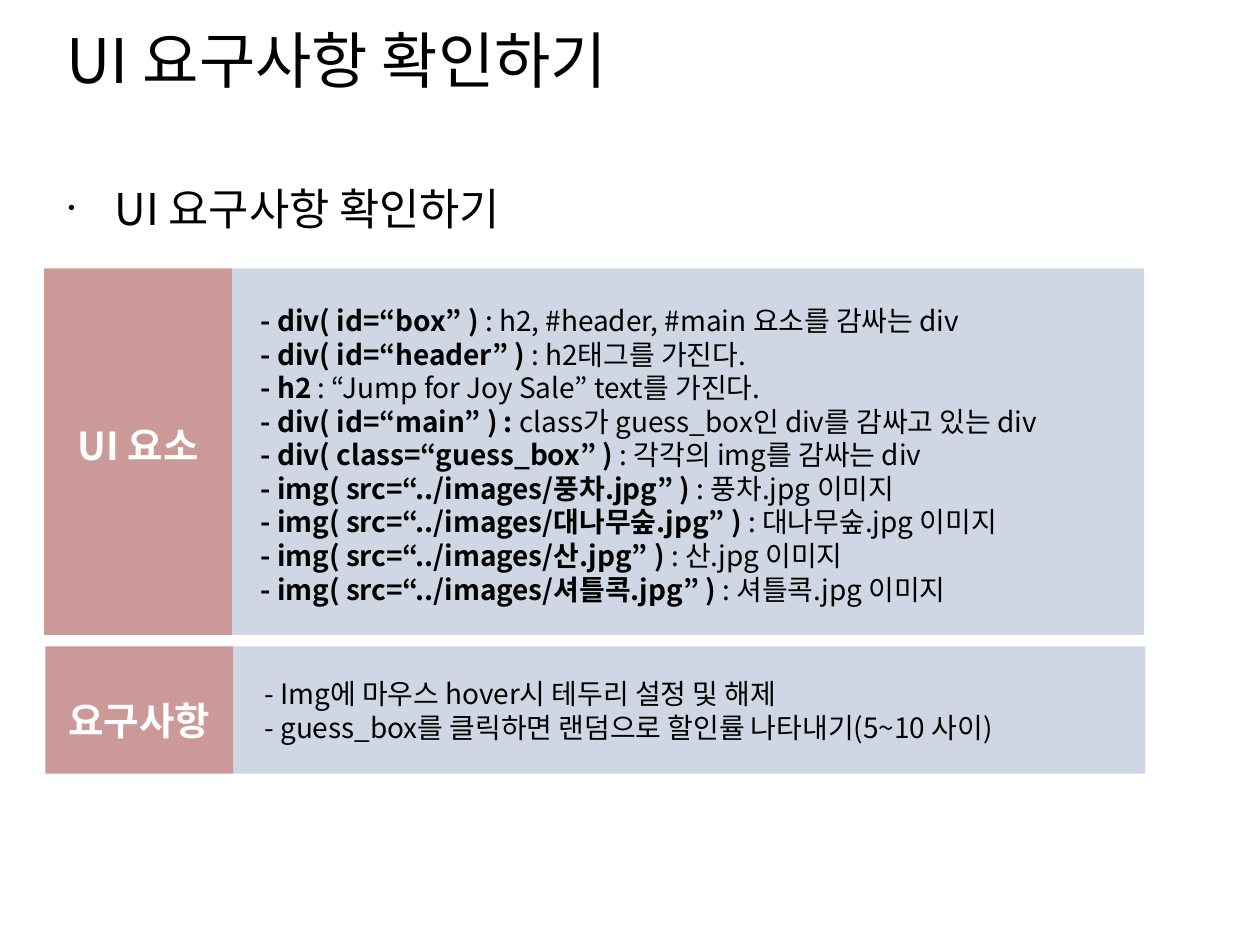
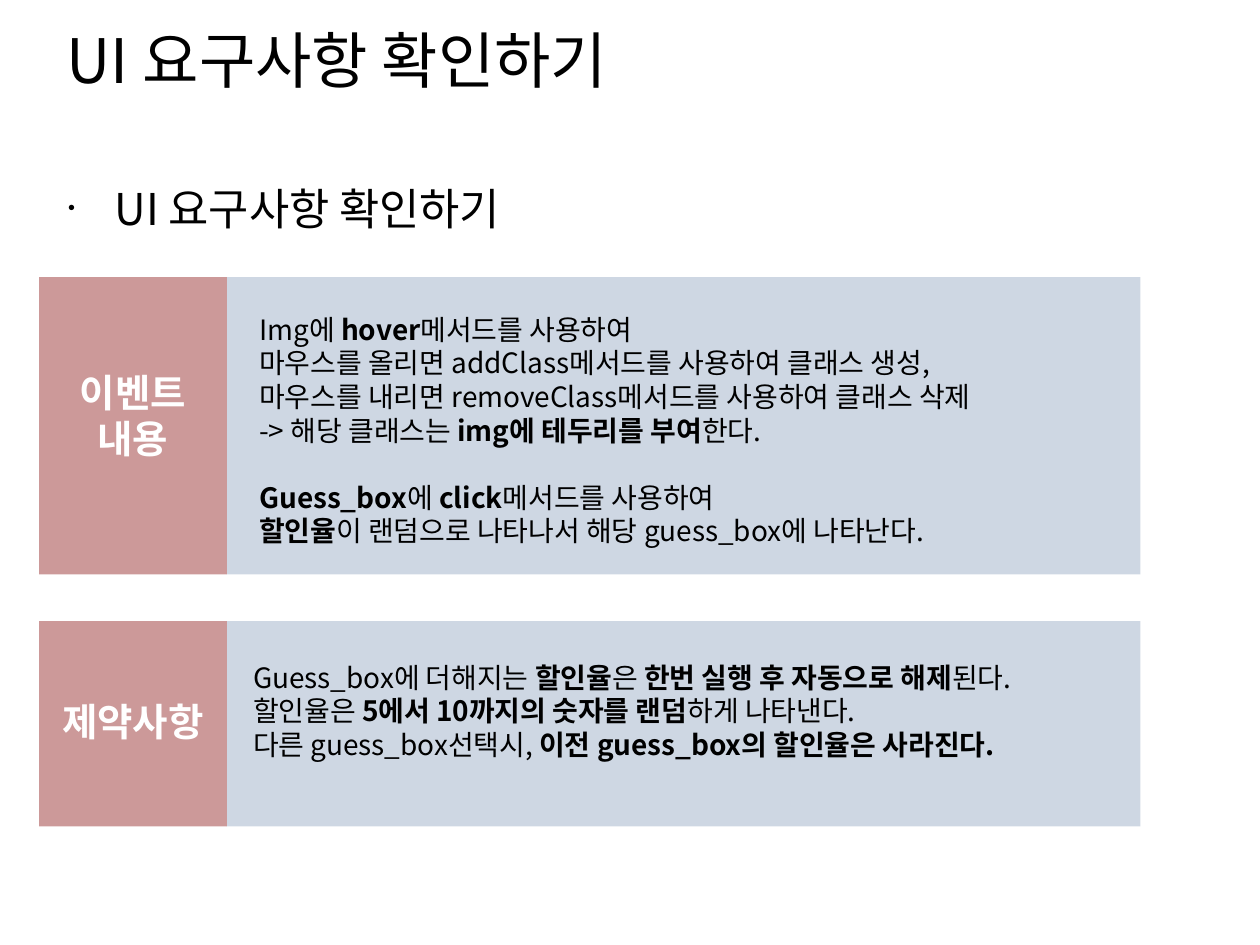
from lxml import etree
from pptx import Presentation
from pptx.dml.color import RGBColor
from pptx.enum.shapes import MSO_SHAPE
from pptx.enum.text import MSO_ANCHOR, MSO_AUTO_SIZE, PP_ALIGN
from pptx.oxml.ns import qn
from pptx.util import Inches, Pt

FONT = "Noto Sans CJK KR"
BLACK, WHITE = "000000", "FFFFFF"
LABEL_FILL, DETAIL_FILL = "CC9999", "9FB0C9"
LABEL_WIDTH = 1.49
HEADING = "UI 요구사항 확인하기"

UI_ELEMENTS = [
    "**- div( id=“box” ) **: h2, #header, #main 요소를 감싸는 div",
    "**- div( id=“header” )** : h2태그를 가진다.",
    "**- h2** : “Jump for Joy Sale” text를 가진다.",
    "**- div( id=“main” ) : **class가 guess_box인 div를 감싸고 있는 div",
    "**- div( class=“guess_box” ) **: 각각의 img를 감싸는 div",
] + [
    f"**- img( src=“../images/{photo}.jpg” ) **: {photo}.jpg 이미지"
    for photo in ("풍차", "대나무숲", "산", "셔틀콕")
]
REQUIREMENTS = [
    "- Img에 마우스 hover시 테두리 설정 및 해제",
    "- guess_box를 클릭하면 랜덤으로 할인률 나타내기(5~10 사이)",
]
HOVER_EVENT = [
    "Img에 **hover**메서드를 사용하여",
    "마우스를 올리면 addClass메서드를 사용하여 클래스 생성,",
    "마우스를 내리면 removeClass메서드를 사용하여 클래스 삭제",
    "-> 해당 클래스는 **img에 테두리를 부여**한다.",
]
CLICK_EVENT = [
    "**Guess_box**에 **click**메서드를 사용하여",
    "**할인율**이 랜덤으로 나타나서 해당 guess_box에 나타난다.",
]
CONSTRAINTS = [
    "Guess_box에 더해지는 **할인율**은 **한번 실행 후 자동으로 해제**된다.",
    "할인율은 **5에서 10까지의 숫자를 랜덤**하게 나타낸다.",
    "다른 guess_box선택시, **이전 guess_box의 할인율은 사라진다.**",
]


def rgb(value):
    return RGBColor.from_string(value)


def style(paragraph, size, color=BLACK, bold=None, align=PP_ALIGN.LEFT):
    paragraph.alignment = align
    font = paragraph.font
    font.name, font.size, font.bold = FONT, Pt(size), bold
    font.color.rgb = rgb(color)


def add_marked_runs(paragraph, line):
    """Text between pairs of ** becomes bold."""
    for index, part in enumerate(line.split("**")):
        if part:
            run = paragraph.add_run()
            run.text = part
            if index % 2:
                run.font.bold = True


def add_lines(slide, box, groups, **look):
    """Writes groups of lines, with one line's height between groups."""
    frame = slide.shapes.add_textbox(*map(Inches, box)).text_frame
    frame.word_wrap = True
    paragraph = None
    for group in groups:
        for index, line in enumerate(group):
            is_first = paragraph is None
            paragraph = frame.paragraphs[0] if is_first else frame.add_paragraph()
            add_marked_runs(paragraph, line)
            style(paragraph, **look)
            if index == 0 and not is_first:
                paragraph.space_before = Pt(1.2 * look["size"])


def add_band(slide, box, color, opacity=100):
    band = slide.shapes.add_shape(MSO_SHAPE.RECTANGLE, *map(Inches, box))
    band.shadow.inherit = False
    band.fill.solid()
    band.fill.fore_color.rgb = rgb(color)
    band.line.fill.background()
    if opacity < 100:
        tint = band.fill._xPr.find(qn("a:solidFill"))[0]
        etree.SubElement(tint, qn("a:alpha"), val=str(opacity * 1000))


def add_section(slide, box, label, label_top, details, details_at, details_width):
    """Label band beside a detail band; text offsets start at the box corner."""
    left, top, width, height = box
    add_band(slide, (left + LABEL_WIDTH, top, width - LABEL_WIDTH, height),
             DETAIL_FILL, opacity=50)
    add_band(slide, (left, top, LABEL_WIDTH, height), LABEL_FILL)
    add_lines(slide, (left, top + label_top, LABEL_WIDTH, 0.1 + 0.37 * len(label)),
              [label], size=22, color=WHITE, bold=True, align=PP_ALIGN.CENTER)
    line_count = sum(map(len, details))
    add_lines(slide, (left + details_at[0], top + details_at[1],
                      details_width, 0.1 + 0.27 * line_count), details, size=16)


def fill_placeholder(placeholder, box, text):
    placeholder.left, placeholder.top, placeholder.width, placeholder.height = map(
        Inches, box)
    frame = placeholder.text_frame
    frame.text = text
    frame.auto_size = MSO_AUTO_SIZE.NONE
    frame.vertical_anchor = MSO_ANCHOR.TOP
    return frame.paragraphs[0]


def add_bullet(paragraph):
    properties = paragraph._p.get_or_add_pPr()
    properties.set("marL", str(Inches(0.38)))
    properties.set("indent", str(Inches(-0.37)))
    color = etree.SubElement(properties, qn("a:buClr"))
    etree.SubElement(color, qn("a:srgbClr"), val=BLACK)
    etree.SubElement(properties, qn("a:buSzPct"), val="45000")
    etree.SubElement(properties, qn("a:buFont"), typeface="Arial")
    etree.SubElement(properties, qn("a:buChar"), char="•")


def add_requirement_slide(deck):
    slide = deck.slides.add_slide(deck.slide_layouts[1])
    title = fill_placeholder(slide.shapes.title, (0.43, 0.13, 8.38, 0.87), HEADING)
    style(title, 35)
    topic = fill_placeholder(slide.placeholders[1], (0.43, 1.39, 9.19, 5.34), HEADING)
    topic.space_before, topic.space_after = Pt(0), Pt(14.2)
    add_bullet(topic)
    style(topic, 25)
    return slide


def main():
    deck = Presentation()
    deck.slide_width, deck.slide_height = Inches(10), Inches(7.5)

    elements = add_requirement_slide(deck)
    add_section(elements, (0.35, 2.13, 8.73, 2.91), ["UI 요소"], 1.17,
                [UI_ELEMENTS], (1.62, 0.23), 6.93)
    add_section(elements, (0.36, 5.13, 8.73, 1.01), ["요구사항"], 0.35,
                [REQUIREMENTS], (1.64, 0.19), 6.69)

    events = add_requirement_slide(deck)
    add_section(events, (0.31, 2.2, 8.74, 2.36), ["이벤트", "내용"], 0.68,
                [HOVER_EVENT, CLICK_EVENT], (1.65, 0.23), 6.93)
    add_section(events, (0.31, 4.93, 8.74, 1.63), ["제약사항"], 0.56,
                [CONSTRAINTS], (1.6, 0.26), 6.69)

    deck.save("out.pptx")


if __name__ == "__main__":
    main()
